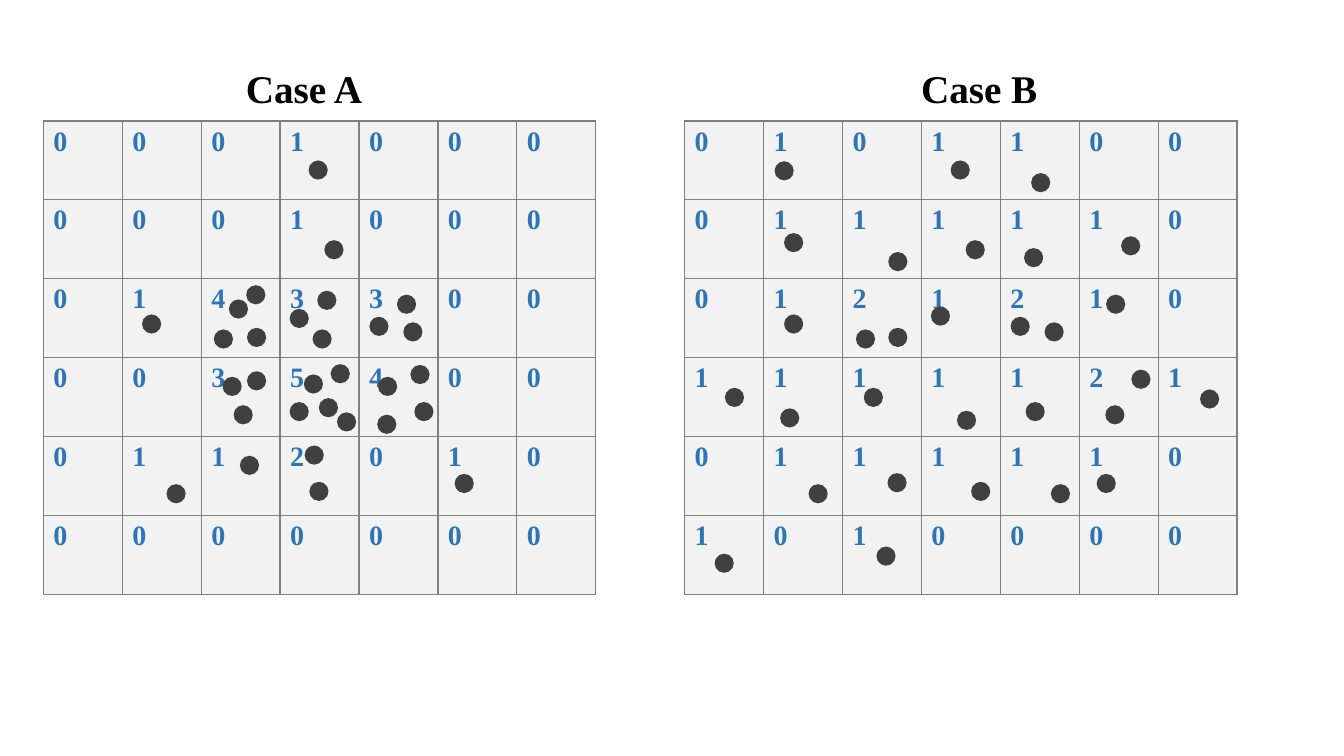
from lxml.etree import SubElement
from pptx import Presentation
from pptx.dml.color import RGBColor
from pptx.enum.shapes import MSO_SHAPE
from pptx.enum.text import MSO_AUTO_SIZE
from pptx.oxml.ns import qn
from pptx.util import Inches, Pt

SLIDE_WIDTH, SLIDE_HEIGHT = 13.33, 7.5
COLUMNS, ROWS = 7, 6
GRID_WIDTH, GRID_HEIGHT = 5.48, 4.7
GRID_TOP = 1.2
DOT_SIZE = 0.19

CELL_GREY = RGBColor(0xF2, 0xF2, 0xF2)
BORDER_GREY = RGBColor(0x80, 0x80, 0x80)
DOT_GREY = RGBColor(0x40, 0x40, 0x40)
COUNT_BLUE = RGBColor(0x2E, 0x75, 0xB6)
BLACK = RGBColor(0, 0, 0)

TITLE_FONT = {"name": "Times New Roman", "size": Pt(28), "bold": True}
COUNT_FONT = {"name": "Times New Roman", "size": Pt(20), "bold": True}

# Counts row by row; title and dot positions in columns and rows of the grid
CASES = [
    {
        "title": "Case A", "left": 0.43, "title_column": 2.44,
        "counts": ["0001000", "0001000", "0143300",
                   "0035400", "0112010", "0000000"],
        "dots": [
            (3.47, 2.15), (3.64, 3.08), (4.56, 2.55), (3.49, 3.51), (4.24, 3.24),
            (4.70, 3.56), (2.49, 4.24), (4.23, 3.72), (1.25, 2.45), (3.12, 3.56),
            (3.30, 3.21), (3.56, 1.51), (3.36, 0.50), (2.27, 3.24), (2.41, 3.60),
            (2.58, 2.62), (2.35, 2.26), (3.12, 2.38), (4.65, 3.09), (3.37, 4.57),
            (1.56, 4.60), (3.41, 2.64), (3.31, 4.11), (3.72, 3.69), (5.21, 4.47),
            (4.13, 2.48), (4.48, 2.20), (2.58, 3.17), (2.16, 2.64), (2.57, 2.08),
        ],
    },
    {
        "title": "Case B", "left": 6.79, "title_column": 2.87,
        "counts": ["0101100", "0111110", "0121210",
                   "1111121", "0111110", "1010000"],
        "dots": [
            (1.14, 0.51), (4.39, 0.66), (4.56, 2.55), (5.53, 1.46), (6.53, 3.40),
            (5.33, 3.60), (2.43, 5.39), (4.32, 3.56), (1.26, 2.45), (1.21, 3.64),
            (4.64, 4.60), (3.56, 1.51), (3.37, 0.50), (2.27, 3.38), (0.38, 5.48),
            (2.58, 2.62), (1.26, 1.42), (3.12, 2.35), (5.66, 3.15), (0.51, 3.38),
            (1.57, 4.60), (4.30, 1.61), (3.45, 3.67), (3.63, 4.57), (5.22, 4.47),
            (4.13, 2.48), (5.34, 2.20), (2.57, 4.46), (2.17, 2.64), (2.58, 1.66),
        ],
    },
]


def write_text(frame, text, font_format, color):
    run = frame.paragraphs[0].add_run()
    run.text = text
    for attribute, value in font_format.items():
        setattr(run.font, attribute, value)
    run.font.color.rgb = color


def format_cell(cell):
    properties = cell._tc.get_or_add_tcPr()
    for side in ("a:lnL", "a:lnR", "a:lnT", "a:lnB"):
        border = SubElement(properties, qn(side), w=str(Pt(1)))
        border_fill = SubElement(border, qn("a:solidFill"))
        SubElement(border_fill, qn("a:srgbClr"), val=str(BORDER_GREY))
    cell.fill.solid()
    cell.fill.fore_color.rgb = CELL_GREY


def add_count_grid(slide, counts, left, top, width, height):
    grid = slide.shapes.add_table(ROWS, COLUMNS, left, top, width, height).table
    grid.first_row = grid.horz_banding = False
    for column in grid.columns:
        column.width = width // COLUMNS
    for row in grid.rows:
        row.height = height // ROWS
    for row_index, row_counts in enumerate(counts):
        for column_index, count in enumerate(row_counts):
            cell = grid.cell(row_index, column_index)
            format_cell(cell)
            write_text(cell.text_frame, count, COUNT_FONT, COUNT_BLUE)


def add_dots(slide, dots, left, top, column_width, row_height):
    for column, row in dots:
        dot = slide.shapes.add_shape(
            MSO_SHAPE.OVAL, left + int(column * column_width),
            top + int(row * row_height), Inches(DOT_SIZE), Inches(DOT_SIZE))
        dot.shadow.inherit = False
        dot.fill.solid()
        dot.fill.fore_color.rgb = DOT_GREY
        dot.line.fill.background()


def add_title(slide, text, left, top, width, height):
    title = slide.shapes.add_textbox(left, top, width, height)
    title.text_frame.word_wrap = False
    title.text_frame.auto_size = MSO_AUTO_SIZE.SHAPE_TO_FIT_TEXT
    write_text(title.text_frame, text, TITLE_FONT, BLACK)


def add_case(slide, case, left, top, width, height):
    column_width, row_height = width / COLUMNS, height / ROWS
    add_count_grid(slide, case["counts"], left, top, width, height)
    add_dots(slide, case["dots"], left, top, column_width, row_height)
    add_title(slide, case["title"],
              left + int(case["title_column"] * column_width),
              top - int(0.78 * row_height),
              int(1.75 * column_width), int(0.73 * row_height))


def main():
    presentation = Presentation()
    presentation.slide_width = Inches(SLIDE_WIDTH)
    presentation.slide_height = Inches(SLIDE_HEIGHT)
    slide = presentation.slides.add_slide(presentation.slide_layouts[6])
    for case in CASES:
        add_case(slide, case, Inches(case["left"]), Inches(GRID_TOP),
                 Inches(GRID_WIDTH), Inches(GRID_HEIGHT))
    presentation.save("out.pptx")


if __name__ == "__main__":
    main()
